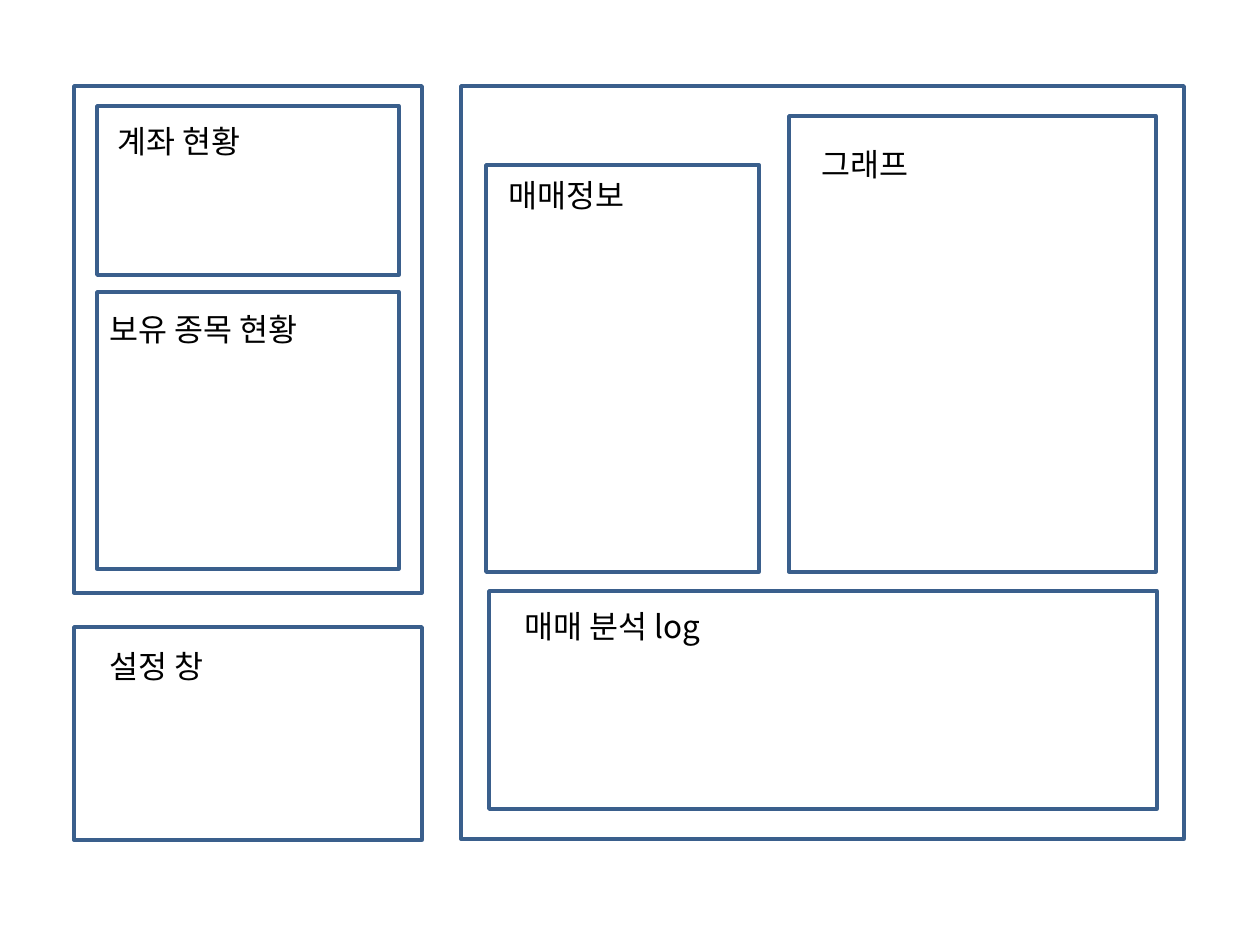
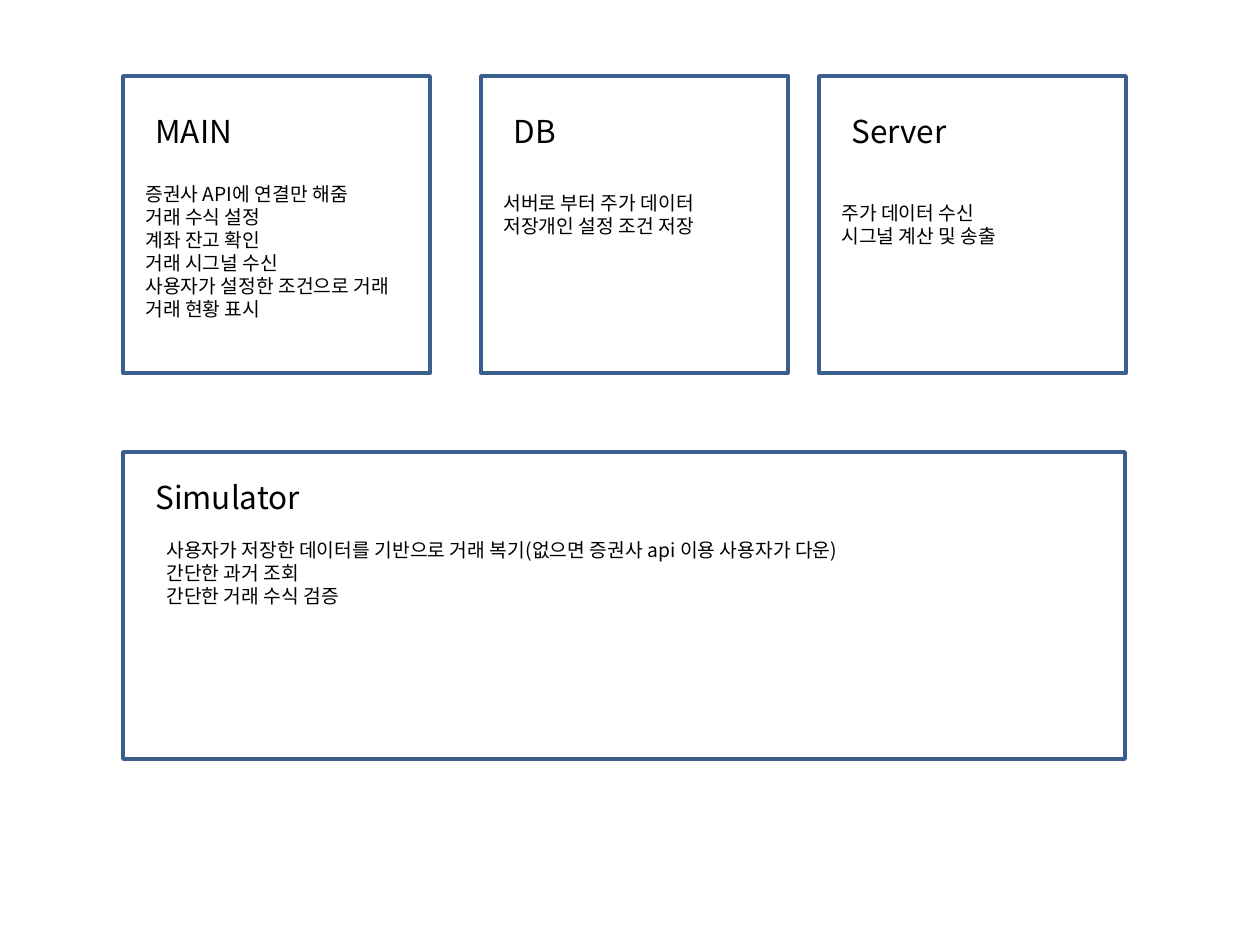
import dataclasses

import lxml.etree
import pptx
import pptx.dml.color
import pptx.enum.shapes
import pptx.enum.text
import pptx.oxml.ns
import pptx.util

EMU_PER_PIXEL = 914400 / 126


@dataclasses.dataclass(frozen=True)
class Theme:
    font: str = "Noto Sans CJK KR"
    text: str = "000000"
    outline: str = "3A5F8C"
    outline_width: int = 2
    heading: int = 18
    detail: int = 11


class Board:
    def __init__(self, theme):
        self.theme = theme
        self.deck = pptx.Presentation()
        self.deck.slide_width = pptx.util.Inches(10)
        self.deck.slide_height = pptx.util.Inches(7.5)
        self.slide = None

    def new_slide(self):
        self.slide = self.deck.slides.add_slide(self.deck.slide_layouts[6])

    def area(self, *pixels):
        return [pptx.util.Emu(round(pixel * EMU_PER_PIXEL)) for pixel in pixels]

    def panel(self, left, top, width, height):
        panel = self.slide.shapes.add_shape(
            pptx.enum.shapes.MSO_SHAPE.RECTANGLE,
            *self.area(left, top, width, height))
        panel.shadow.inherit = False
        panel.fill.background()
        panel.line.color.rgb = pptx.dml.color.RGBColor.from_string(self.theme.outline)
        panel.line.width = pptx.util.Pt(self.theme.outline_width)

    def text_block(self, lines, size, left, top, width, height):
        label = self.slide.shapes.add_textbox(*self.area(left, top, width, height))
        frame = label.text_frame
        frame.word_wrap = True
        frame.auto_size = pptx.enum.text.MSO_AUTO_SIZE.SHAPE_TO_FIT_TEXT
        frame.text = "\n".join(lines)
        for paragraph in frame.paragraphs:
            paragraph.font.size = pptx.util.Pt(size)
            paragraph.font.color.rgb = pptx.dml.color.RGBColor.from_string(self.theme.text)
            paragraph.font.name = self.theme.font
            defaults = paragraph._p.get_or_add_pPr().get_or_add_defRPr()
            east_asian = lxml.etree.SubElement(defaults, pptx.oxml.ns.qn("a:ea"))
            east_asian.set("typeface", self.theme.font)

    def heading(self, wording, left, top, width):
        self.text_block([wording], self.theme.heading, left, top, width, 50)

    def details(self, lines, left, top, width, height):
        self.text_block(lines, self.theme.detail, left, top, width, height)


def screen_layout(board):
    board.new_slide()
    for group in ((74, 86, 348, 507), (461, 86, 723, 753)):
        board.panel(*group)
    sections = (
        ("계좌 현황", (97, 106, 302, 169), (105, 116, 277)),
        ("보유 종목 현황", (97, 292, 302, 277), (97, 304, 277)),
        ("설정 창", (74, 627, 348, 213), (97, 641, 166)),
        ("매매정보", (486, 165, 273, 407), (496, 170, 164)),
        ("그래프", (789, 116, 367, 456), (809, 139, 164)),
        ("매매 분석 log", (489, 591, 668, 218), (512, 601, 248)),
    )
    for wording, outline, label in sections:
        board.panel(*outline)
        board.heading(wording, *label)


def system_modules(board):
    board.new_slide()
    modules = (
        ("MAIN", 123, 176, 176,
         ["증권사 API에 연결만 해줌", "거래 수식 설정", "계좌 잔고 확인",
          "거래 시그널 수신", "사용자가 설정한 조건으로 거래", "거래 현황 표시"]),
        ("DB", 481, 185, 59,
         ["서버로 부터 주가 데이터 저장개인 설정 조건 저장"]),
        ("Server", 819, 195, 59,
         ["주가 데이터 수신", "시그널 계산 및 송출"]),
    )
    for name, left, details_top, details_height, duties in modules:
        board.panel(left, 76, 307, 297)
        board.heading(name, left + 20, 106, 258)
        board.details(duties, left + 10, details_top, 287, details_height)

    board.panel(123, 452, 1002, 307)
    board.heading("Simulator", 143, 472, 491)
    board.details(
        ["사용자가 저장한 데이터를 기반으로 거래 복기(없으면 증권사 api 이용 사용자가 다운)",
         "간단한 과거 조회", "간단한 거래 수식 검증"],
        154, 532, 942, 83)


board = Board(Theme())
screen_layout(board)
system_modules(board)
board.deck.save("out.pptx")
